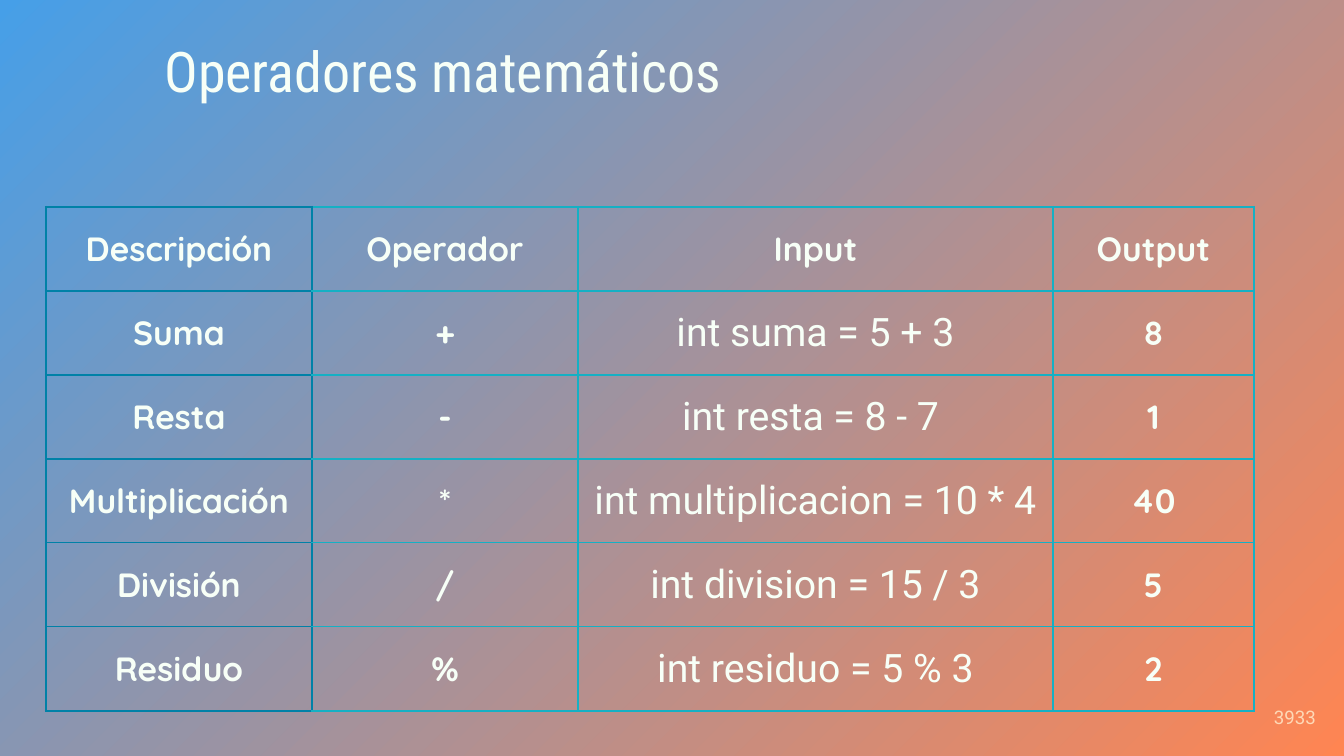
import pptx
import pptx.dml.color
import pptx.enum.text
import pptx.oxml
import pptx.oxml.ns
import pptx.util

PX = 9144000 / 1344  # EMU in one px
COLORS = {
    "orange": "FF8552",
    "sky": "469FE8",
    "text": "F7FFF7",
    "peach": "FED9B7",
    "blue": "0081A7",
    "teal": "15B0C4",
}
ALIGN = pptx.enum.text.PP_ALIGN
ANCHOR = pptx.enum.text.MSO_ANCHOR
THIN, THICK = 0.75, 1.5

ROWS = [
    ("Descripción", "Operador", "Input", "Output"),
    ("Suma", "+", "int suma = 5 + 3", "8"),
    ("Resta", "-", "int resta = 8 - 7 ", "1"),
    ("Multiplicación", "*", "int multiplicacion = 10 * 4", "40"),
    ("División", "/", "int division = 15 / 3", "5"),
    ("Residuo", "%", "int residuo = 5 % 3", "2"),
]
COL_WIDTHS = (266, 266, 475, 201)
ROW_HEIGHT = 84
CODE_COL, OUTPUT_COL = 2, 3


def px(n):
    return pptx.util.Emu(round(n * PX))


def rgb(name):
    return pptx.dml.color.RGBColor.from_string(COLORS[name])


class Deck:
    """Holds the presentation, its style and the current slide."""

    def __init__(self, width, height):
        self.prs = pptx.Presentation()
        self.prs.slide_width, self.prs.slide_height = px(width), px(height)
        self.s = None

    def add_slide(self):
        self.s = self.prs.slides.add_slide(self.prs.slide_layouts[5])

    def background(self, colors, angle):
        fill = self.s.background.fill
        fill.gradient()
        fill.gradient_angle = angle
        for stop, color in zip(fill.gradient_stops, colors):
            stop.color.rgb = rgb(color)

    def add_text(self, tf, text, font, size, color="text", bold=False, align=ALIGN.LEFT):
        p = tf.paragraphs[0]
        p.alignment = align
        r = p.add_run()
        r.text = text
        r.font.name, r.font.size, r.font.bold = font, pptx.util.Pt(size), bold
        r.font.color.rgb = rgb(color)

    def frame(self, sp, anchor):
        tf = sp.text_frame
        tf.word_wrap = True
        tf.auto_size = pptx.enum.text.MSO_AUTO_SIZE.NONE
        tf.vertical_anchor = anchor
        tf.margin_left = tf.margin_right = tf.margin_top = tf.margin_bottom = pptx.util.Inches(0.1)
        return tf

    def title(self, text, x, y, w, h):
        sp = self.s.shapes.title
        sp.left, sp.top, sp.width, sp.height = px(x), px(y), px(w), px(h)
        self.add_text(self.frame(sp, ANCHOR.TOP), text, "Roboto Condensed", 30)

    def number(self, text, x, y, w, h):
        sp = self.s.shapes.add_textbox(px(x), px(y), px(w), px(h))
        self.add_text(self.frame(sp, ANCHOR.MIDDLE), text, "Roboto", 10, "peach", align=ALIGN.RIGHT)

    def border(self, cell, side, color, width, alpha):
        ln = pptx.oxml.parse_xml(
            f'<a:ln{side} {pptx.oxml.ns.nsdecls("a")} w="{pptx.util.Pt(width)}">'
            f'<a:solidFill><a:srgbClr val="{COLORS[color]}"><a:alpha val="{alpha * 1000}"/>'
            f'</a:srgbClr></a:solidFill></a:ln{side}>')
        cell._tc.get_or_add_tcPr().append(ln)

    def cell_borders(self, cell, row, col, last_row, last_col):
        """Draw a strong outer frame and faint inner lines, the first column in blue."""
        main = "blue" if col == 0 else "teal"
        left = "blue" if col <= 1 else "teal"
        sides = (
            ("L", left, col == 0, col == OUTPUT_COL),
            ("R", main, col == last_col, col + 1 == OUTPUT_COL),
            ("T", main, row == 0, False),
            ("B", main, row == last_row, False),
        )
        for side, color, outer, solid in sides:
            self.border(cell, side, color, THICK if outer else THIN,
                        100 if outer or solid else 40)

    def table(self, rows, x, y, widths, row_height):
        gf = self.s.shapes.add_table(len(rows), len(widths), px(x), px(y),
                                     px(sum(widths)), px(row_height * len(rows)))
        table = gf.table
        table.first_row = table.horz_banding = False
        for column, width in zip(table.columns, widths):
            column.width = px(width)
        for i, texts in enumerate(rows):
            table.rows[i].height = px(row_height)
            for j, text in enumerate(texts):
                cell = table.cell(i, j)
                self.cell_borders(cell, i, j, len(rows) - 1, len(widths) - 1)
                cell.fill.background()
                cell.vertical_anchor = ANCHOR.MIDDLE
                cell.margin_left = cell.margin_right = pptx.util.Inches(0.1)
                cell.margin_top = cell.margin_bottom = pptx.util.Inches(0.07)
                code = i > 0 and j == CODE_COL
                font, size = ("Roboto", 21) if code else ("Quicksand", 18)
                self.add_text(cell.text_frame, text, font, size, bold=not code, align=ALIGN.CENTER)


def main():
    deck = Deck(1344, 756)
    deck.add_slide()
    deck.background(("orange", "sky"), 135)
    deck.title("Operadores matemáticos", 151, 23, 1042, 81)
    deck.table(ROWS, 46, 207, COL_WIDTHS, ROW_HEIGHT)
    deck.number("3933", 1249, 688, 80, 58)
    deck.prs.save("out.pptx")


if __name__ == "__main__":
    main()
